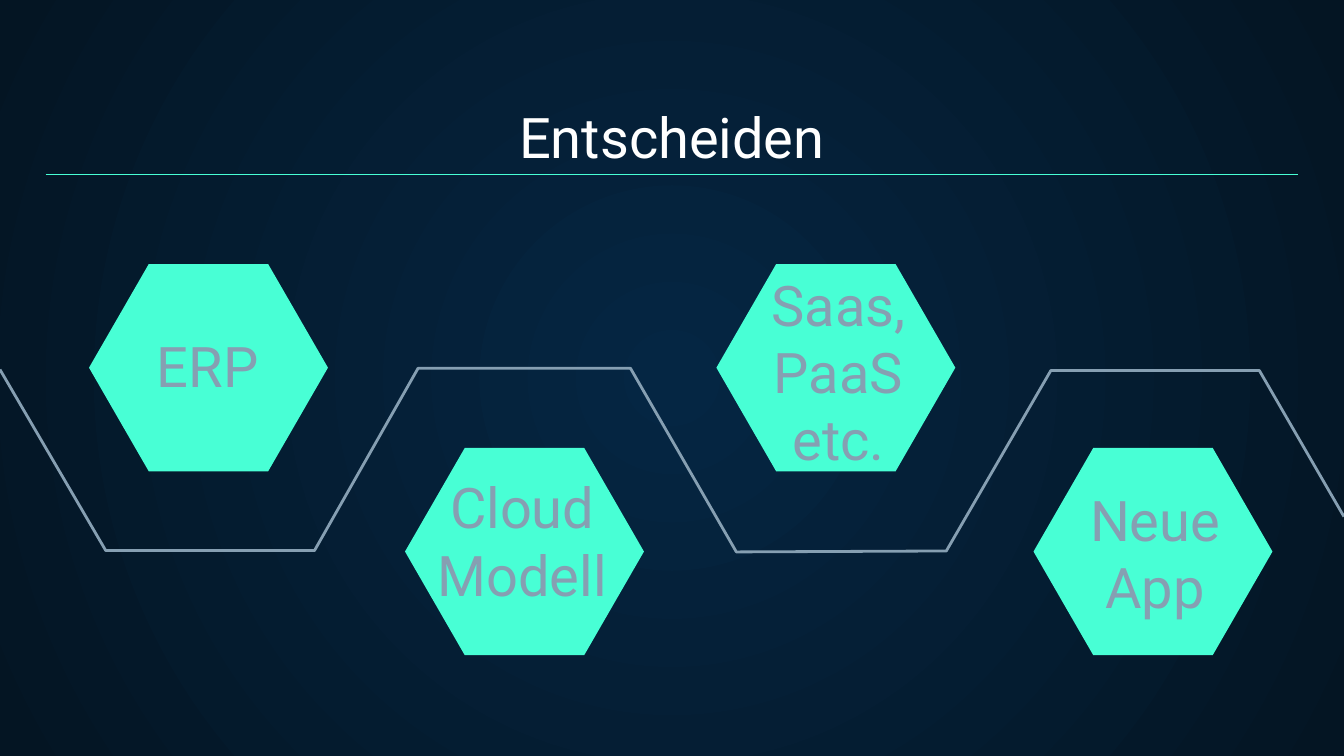
from lxml.etree import SubElement
from pptx import Presentation
from pptx.dml.color import RGBColor
from pptx.enum.shapes import MSO_CONNECTOR
from pptx.enum.text import MSO_ANCHOR, MSO_AUTO_SIZE, PP_ALIGN
from pptx.oxml import parse_xml
from pptx.oxml.ns import nsdecls, qn
from pptx.util import Pt

HUES = {"mid": "052643", "edge": "041523", "mint": "48FFD5", "gray": "869FB2", "white": "FFFFFF"}
COLORS = {name: RGBColor.from_string(code) for name, code in HUES.items()}


def trace(spots, closed):
    spots = [(Pt(x), Pt(y)) for x, y in spots]
    pen = slide.shapes.build_freeform(*spots[0])
    pen.add_line_segments(spots[1:], close=closed)
    shape = pen.convert_to_shape()
    shape.shadow.inherit = False
    return shape


def write(shape, box, text, color, anchor):
    shape.left, shape.top, shape.width, shape.height = [Pt(v) for v in box]
    frame = shape.text_frame
    frame.text = text
    frame.word_wrap = True
    frame.auto_size = MSO_AUTO_SIZE.NONE
    frame.vertical_anchor = anchor
    frame.margin_left = frame.margin_right = Pt(7.2)
    frame.margin_top = frame.margin_bottom = Pt(7.2)
    for para in frame.paragraphs:
        para.alignment = PP_ALIGN.CENTER
        para.font.name = "Roboto"
        para.font.size = Pt(30)
        para.font.color.rgb = COLORS[color]


deck = Presentation()
deck.slide_width, deck.slide_height = Pt(720), Pt(405)
slide = deck.slides.add_slide(deck.slide_layouts[5])

fill = slide.background.fill
fill.gradient()
for stop, name, place in zip(fill.gradient_stops, ("mid", "edge"), (0, 1)):
    stop.color.rgb = COLORS[name]
    stop.position = place
grad = slide.background._cSld.find(".//" + qn("a:gradFill"))
grad.replace(grad.find(qn("a:lin")), parse_xml(
    f'<a:path {nsdecls("a")} path="circle">'
    '<a:fillToRect l="50000" t="50000" r="50000" b="50000"/></a:path>'))

write(slide.shapes.title, (24.5, 50.4, 671, 47.5), "Entscheiden", "white", MSO_ANCHOR.BOTTOM)

rule = slide.shapes.add_connector(
    MSO_CONNECTOR.STRAIGHT, Pt(24.5), Pt(93.6), Pt(695.5), Pt(93.6))
rule.line.color.rgb = COLORS["mint"]
rule.line.width = Pt(0.75)
SubElement(rule._element.spPr, qn("a:effectLst"))

wide, high, cut = 128, 111, 32
for left, top in ((47.7, 141.5), (217, 240), (383.8, 141.5), (553.7, 240)):
    right, low, half = left + wide, top + high, top + high / 2
    hexa = trace([(left + cut, top), (left, half), (left + cut, low),
                  (right - cut, low), (right, half), (right - cut, top)], True)
    hexa.fill.solid()
    hexa.fill.fore_color.rgb = COLORS["mint"]
    hexa.line.fill.background()

wave = trace([(0, 198), (56.7, 295), (168.5, 295), (224, 197.3), (337.8, 197.3),
              (394.5, 295.7), (507, 295.2), (563, 198.5), (674.7, 198.5), (720, 276.8)], False)
wave.fill.background()
wave.line.color.rgb = COLORS["gray"]
wave.line.width = Pt(1.5)

labels = (
    ("ERP", (76, 170.6, 70.6, 44)),
    ("Cloud\nModell", (224, 246.2, 111.6, 80.6)),
    ("Saas, PaaS etc.", (397.4, 137.5, 103.7, 105.8)),
    ("Neue\nApp", (563.8, 252.7, 110, 87)),
)
for text, box in labels:
    label = slide.shapes.add_textbox(0, 0, 0, 0)
    write(label, box, text, "gray", MSO_ANCHOR.TOP)

deck.save("out.pptx")
